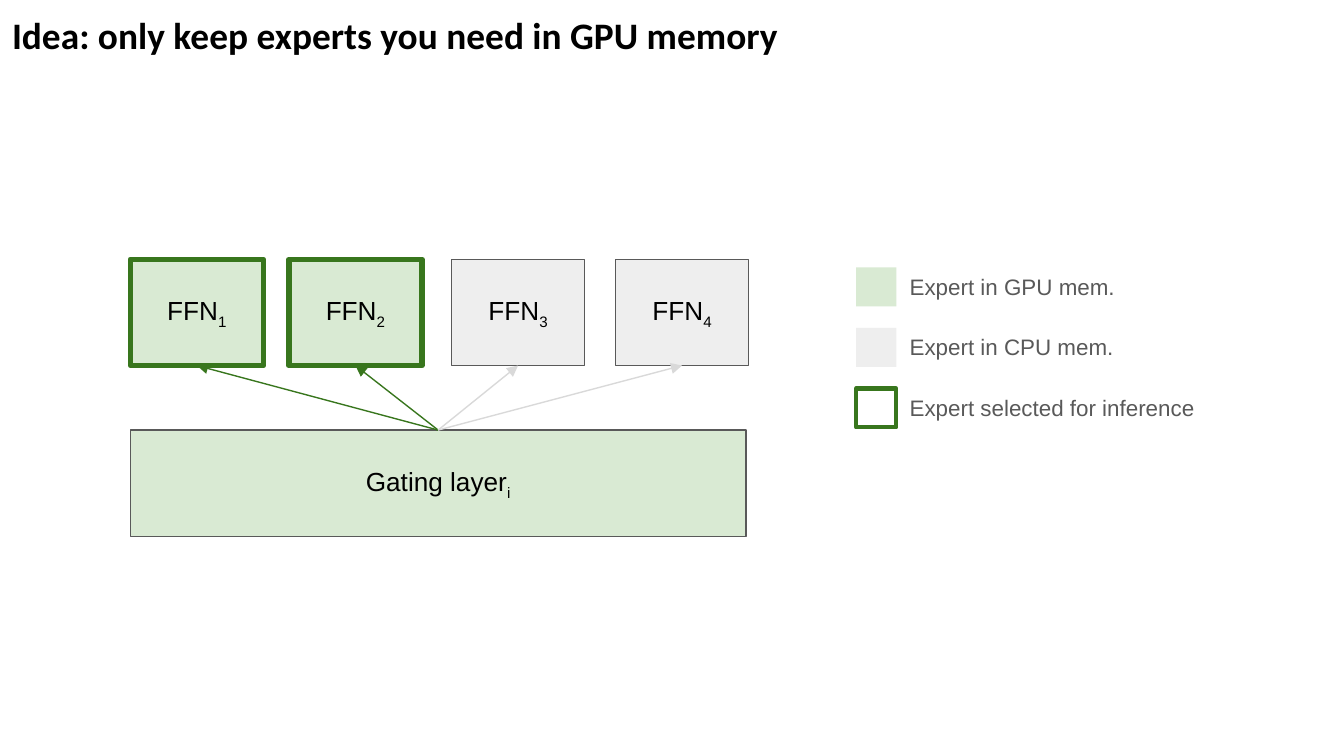
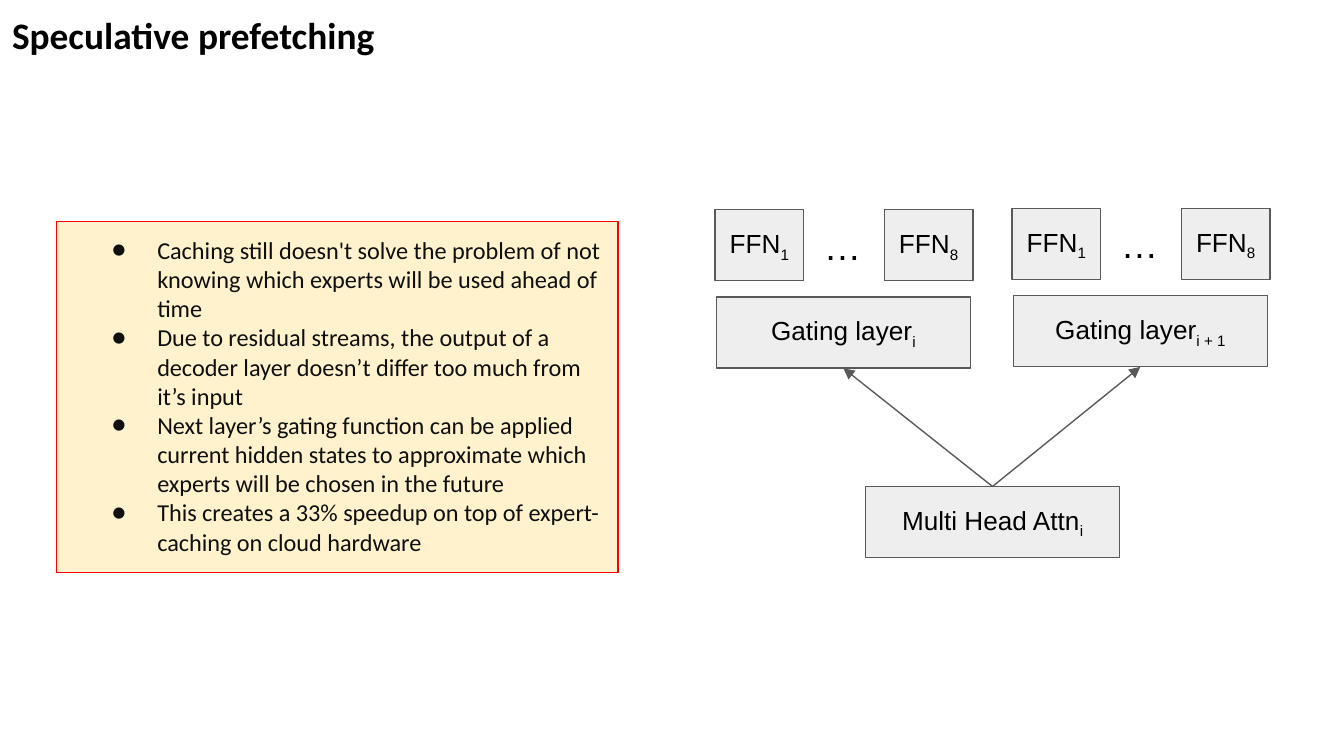
from dataclasses import dataclass

from lxml import etree
from pptx import Presentation
from pptx.dml.color import RGBColor
from pptx.enum import shapes, text
from pptx.oxml import ns
from pptx.util import Inches, Pt


@dataclass(frozen=True)
class Theme:
    width: float = 10
    height: float = 10 * 9 / 16
    heading_font: str = "Calibri"
    diagram_font: str = "Arial"
    title_size: int = 20
    label_size: int = 14
    bullet_size: int = 13
    legend_size: int = 12
    white: str = "FFFFFF"
    black: str = "000000"
    ink: str = "0F0F0F"
    gray: str = "595959"
    pale_gray: str = "D9D9D9"
    gpu: str = "D9EAD3"
    cpu: str = "EEEEEE"
    selected: str = "38761D"
    note: str = "FFF2CC"
    note_edge: str = "FF0000"
    thin: float = 0.75
    inset: float = 0.1


THEME = Theme()

# Content: experts are (number, left, selected)
MEMORY_TITLE = "Idea: only keep experts you need in GPU memory"
EXPERTS = [("1", 0.97, True), ("2", 2.15, True), ("3", 3.36, False), ("4", 4.58, False)]
# Legend rows are (label, text width, fill, edge)
LEGEND = [
    ("Expert in GPU mem.", 2.14, THEME.gpu, None),
    ("Expert in CPU mem.", 1.87, THEME.cpu, None),
    ("Expert selected for inference", 2.34, None, THEME.selected),
]
PREFETCH_TITLE = "Speculative prefetching"
PREFETCH_POINTS = [
    "Caching still doesn't solve the problem of not knowing which experts will be used ahead of time",
    "Due to residual streams, the output of a decoder layer doesn’t differ too much from it’s input",
    "Next layer’s gating function can be applied current hidden states to approximate "
    "which experts will be chosen in the future",
    "This creates a 33% speedup on top of expert-caching on cloud hardware",
]
# Decoder layers are (index, left, top)
LAYERS = [("i", 5.32, 1.56), ("i + 1", 7.53, 1.55)]
GATE_WIDTH, EXPERT_WIDTH, BLOCK_HEIGHT = 1.89, 0.66, 0.53


def color(value):
    return RGBColor.from_string(value)


def add_run(paragraph, words, size, font, ink, bold=False, subscript=False):
    run = paragraph.add_run()
    run.text = words
    run.font.size, run.font.name, run.font.bold = Pt(size), font, bold
    run.font.color.rgb = color(ink)
    if subscript:
        run.font._element.set("baseline", "-25000")


def set_frame(shape, inset=THEME.inset, anchor=text.MSO_ANCHOR.TOP, grow=False):
    frame = shape.text_frame
    frame.word_wrap = True
    frame.margin_left = frame.margin_right = Inches(inset)
    frame.margin_top = frame.margin_bottom = Inches(inset)
    frame.vertical_anchor = anchor
    frame.auto_size = text.MSO_AUTO_SIZE.SHAPE_TO_FIT_TEXT if grow else text.MSO_AUTO_SIZE.NONE
    return frame


def add_box(slide, area, fill=None, edge=None, weight=THEME.thin):
    shape = slide.shapes.add_shape(shapes.MSO_SHAPE.RECTANGLE, *map(Inches, area))
    shape.shadow.inherit = False
    if fill:
        shape.fill.solid()
        shape.fill.fore_color.rgb = color(fill)
    else:
        shape.fill.background()
    if edge:
        shape.line.color.rgb = color(edge)
        shape.line.width = Pt(weight)
    else:
        shape.line.fill.background()
    return shape


def add_node(slide, area, name, index, fill=THEME.cpu, edge=THEME.gray, weight=THEME.thin):
    shape = add_box(slide, area, fill, edge, weight)
    paragraph = set_frame(shape, anchor=text.MSO_ANCHOR.MIDDLE).paragraphs[0]
    paragraph.alignment = text.PP_ALIGN.CENTER
    style = (THEME.label_size, THEME.diagram_font, THEME.black)
    add_run(paragraph, name, *style)
    add_run(paragraph, index, *style, subscript=True)
    return shape


def add_label(slide, area, words, size, font, ink, bold=False, centered=False, **frame_options):
    box = slide.shapes.add_textbox(*map(Inches, area))
    paragraph = set_frame(box, **frame_options).paragraphs[0]
    if centered:
        paragraph.alignment = text.PP_ALIGN.CENTER
    add_run(paragraph, words, size, font, ink, bold)


def add_arrow(slide, source, target, ink):
    """Link the top of source to the bottom of target."""
    arrow = slide.shapes.add_connector(shapes.MSO_CONNECTOR.STRAIGHT, 0, 0, 0, 0)
    arrow.begin_connect(source, 0)
    arrow.end_connect(target, 2)
    arrow.line.color.rgb = color(ink)
    arrow.line.width = Pt(THEME.thin)
    etree.SubElement(arrow.line._get_or_add_ln(), ns.qn("a:tailEnd"), type="triangle")
    etree.SubElement(arrow._element.spPr, ns.qn("a:effectLst"))


def add_bullet(paragraph, words):
    properties = paragraph._p.get_or_add_pPr()
    properties.set("marL", str(Inches(0.5)))
    properties.set("indent", str(Inches(-0.34)))
    bullet_color = etree.SubElement(properties, ns.qn("a:buClr"))
    etree.SubElement(bullet_color, ns.qn("a:srgbClr"), val=THEME.ink)
    etree.SubElement(properties, ns.qn("a:buSzPts"), val=str(THEME.bullet_size * 100))
    etree.SubElement(properties, ns.qn("a:buFont"), typeface=THEME.heading_font)
    etree.SubElement(properties, ns.qn("a:buChar"), char="●")
    add_run(paragraph, words, THEME.bullet_size, THEME.heading_font, THEME.ink)


def new_slide(presentation, title, title_width):
    slide = presentation.slides.add_slide(presentation.slide_layouts[6])
    slide.background.fill.solid()
    slide.background.fill.fore_color.rgb = color(THEME.white)
    add_label(slide, (0.08, 0.08, title_width, 0.36), title, THEME.title_size,
              THEME.heading_font, THEME.black, bold=True, inset=0.01, grow=True)
    return slide


def build_memory_slide(presentation):
    slide = new_slide(presentation, MEMORY_TITLE, 6.54)
    gate = add_node(slide, (0.97, 3.2, 4.58, 0.79), "Gating layer", "i", THEME.gpu)

    # Experts and their links to the gate
    links = []
    for number, left, selected in EXPERTS:
        look = (THEME.gpu, THEME.selected, 3) if selected else (THEME.cpu, THEME.gray, THEME.thin)
        expert = add_node(slide, (left, 1.93, 0.99, 0.79), "FFN", number, *look)
        links.append((expert, THEME.selected if selected else THEME.pale_gray))

    # Legend
    for row, (label, width, fill, edge) in enumerate(LEGEND):
        top = 1.93 + 0.45 * row
        add_box(slide, (6.37, top + 0.06, 0.3, 0.29), fill, edge, 2.25)
        add_label(slide, (6.67, top, width, 0.4), label, THEME.legend_size,
                  THEME.diagram_font, THEME.gray, grow=True)

    for expert, ink in links:
        add_arrow(slide, gate, expert, ink)


def build_prefetch_slide(presentation):
    slide = new_slide(presentation, PREFETCH_TITLE, 5.54)

    # Key points
    note = add_box(slide, (0.42, 1.65, 4.18, 2.61), THEME.note, THEME.note_edge)
    frame = set_frame(note, grow=True)
    frame.margin_left = Inches(0.25)
    for position, point in enumerate(PREFETCH_POINTS):
        paragraph = frame.add_paragraph() if position else frame.paragraphs[0]
        paragraph.alignment = text.PP_ALIGN.LEFT
        add_bullet(paragraph, point)

    # Attention feeds the gates of this layer and the next
    attention = add_node(slide, (6.44, 3.62, GATE_WIDTH, BLOCK_HEIGHT), "Multi Head Attn", "i")
    for index, left, top in LAYERS:
        gate = add_node(slide, (left + 0.01, top + 0.65, GATE_WIDTH, BLOCK_HEIGHT),
                        "Gating layer", index)
        for number, offset in (("1", 0), ("8", 1.26)):
            add_node(slide, (left + offset, top, EXPERT_WIDTH, BLOCK_HEIGHT), "FFN", number)
        add_label(slide, (left + 0.58, top + 0.05, 0.74, 0.43), "…", THEME.title_size,
                  THEME.diagram_font, THEME.black, centered=True, anchor=text.MSO_ANCHOR.MIDDLE)
        add_arrow(slide, attention, gate, THEME.gray)


def main():
    presentation = Presentation()
    presentation.slide_width = Inches(THEME.width)
    presentation.slide_height = Inches(THEME.height)
    build_memory_slide(presentation)
    build_prefetch_slide(presentation)
    presentation.save("out.pptx")


if __name__ == "__main__":
    main()
